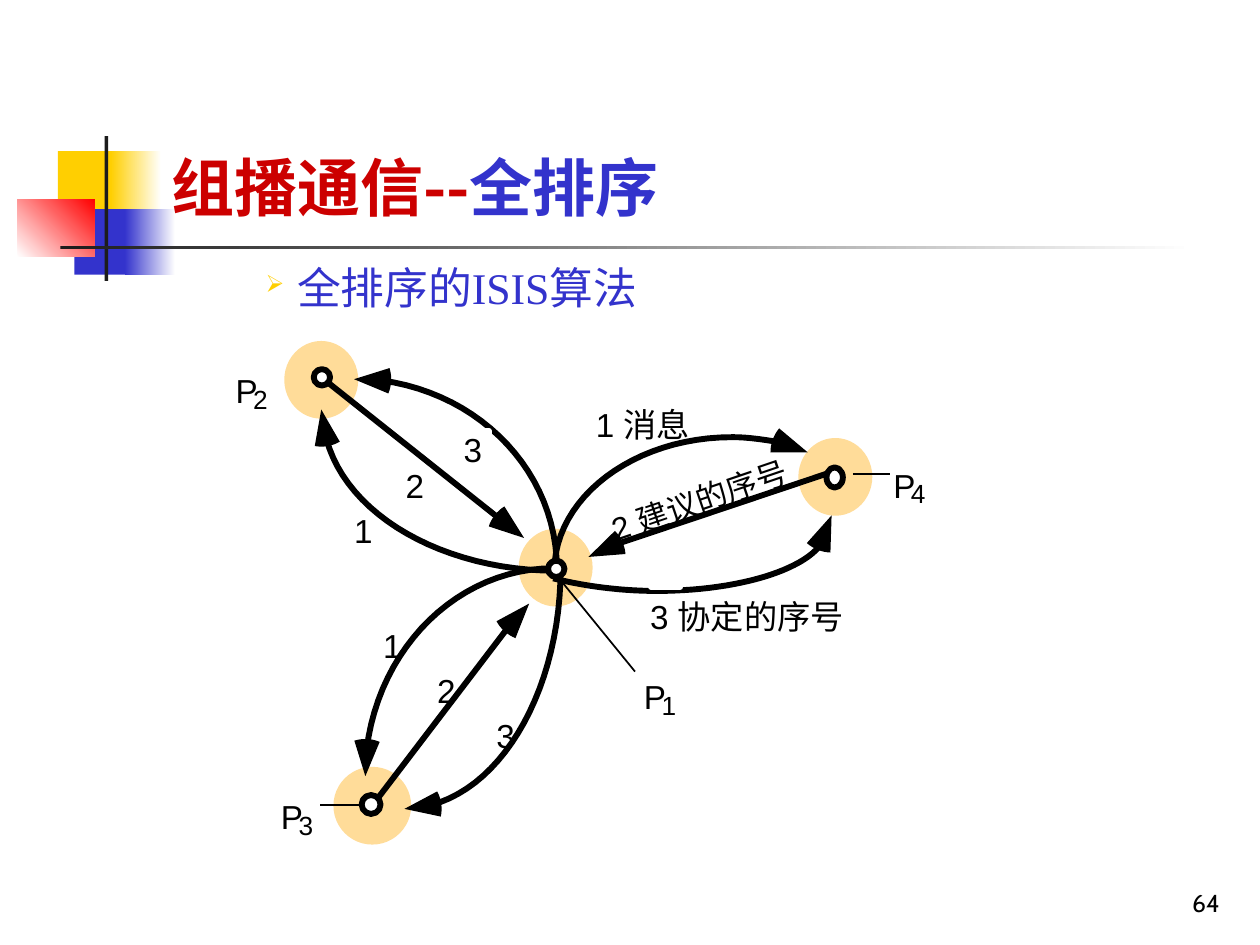
import dataclasses
import math

import pptx
import pptx.dml.color
import pptx.enum.shapes
import pptx.enum.text
import pptx.oxml.ns
import pptx.util
from lxml import etree

COLUMNS, ROWS = 100, 75
KINDS = pptx.enum.shapes.MSO_SHAPE
ANCHORS = pptx.enum.text.MSO_ANCHOR
ALIGNS = pptx.enum.text.PP_ALIGN


@dataclasses.dataclass(frozen=True)
class Theme:
    yellow: str = "FFCF01"
    blue: str = "3333CC"
    red: str = "FF0000"
    title_red: str = "CC0000"
    ink: str = "1C1C1C"
    black: str = "000000"
    white: str = "FFFFFF"
    halo: str = "FFDC99"
    title_size: float = 36
    body_size: float = 25
    label_size: float = 19
    slanted_size: float = 18
    index_size: float = 15
    number_size: float = 14
    heavy: float = 3.37
    thin: float = 1
    cjk: str = "Noto Sans CJK JP"
    serif: str = "Times New Roman"
    sans: str = "Arial"
    number_font: str = "Cabin"


THEME = Theme()


@dataclasses.dataclass(frozen=True)
class Box:
    slide: object
    cell: int
    left: float
    top: float
    width: float
    height: float

    def point(self, x, y):
        return round((self.left + x) * self.cell), round((self.top + y) * self.cell)

    def area(self, x, y, width, height):
        return *self.point(x, y), round(width * self.cell), round(height * self.cell)


def rgb(color):
    return pptx.dml.color.RGBColor.from_string(color)


def tag(name):
    return pptx.oxml.ns.qn(name)


def paint(shape, fill=None, line=None, weight=THEME.heavy):
    shape.shadow.inherit = False
    if fill:
        shape.fill.solid()
        shape.fill.fore_color.rgb = rgb(fill)
    else:
        shape.fill.background()
    if line:
        shape.line.color.rgb = rgb(line)
        shape.line.width = pptx.util.Pt(weight)
    else:
        shape.line.fill.background()


def add_block(box, kind, area, fill, line=None):
    block = box.slide.shapes.add_shape(kind, *box.area(*area))
    paint(block, fill, line)
    return block


def add_fade(box, area, start, end, angle=0):
    fade = add_block(box, KINDS.RECTANGLE, area, start)
    fade.fill.gradient()
    fade.fill.gradient_angle = angle
    for stop, color in zip(fade.fill.gradient_stops, (start, end)):
        stop.color.rgb = rgb(color)


def add_line(box, start, end, weight):
    line = box.slide.shapes.add_connector(
        pptx.enum.shapes.MSO_CONNECTOR.STRAIGHT, *box.point(*start), *box.point(*end))
    line.line.color.rgb = rgb(THEME.black)
    line.line.width = pptx.util.Pt(weight)
    etree.SubElement(line._element.spPr, tag("a:effectLst"))


def add_outline(box, points, close):
    first, *rest = [box.point(*point) for point in points]
    builder = box.slide.shapes.build_freeform(*first, scale=1.0)
    builder.add_line_segments(rest, close=close)
    return builder.convert_to_shape()


def add_text(box, area, runs, wrap=True, inset=True, anchor=ANCHORS.TOP, align=ALIGNS.LEFT):
    text = box.slide.shapes.add_textbox(*box.area(*area))
    frame = text.text_frame
    frame.word_wrap = wrap
    frame.vertical_anchor = anchor
    if not inset:
        frame.margin_left = frame.margin_right = frame.margin_top = frame.margin_bottom = 0
    paragraph = frame.paragraphs[0]
    paragraph.alignment = align
    for words, size, font, color, bold in runs:
        run = paragraph.add_run()
        run.text = words
        run.font.size = pptx.util.Pt(size)
        run.font.name = font
        run.font.bold = bold
        run.font.color.rgb = rgb(color)
        run.font._element.find(tag("a:latin")).addnext(
            run.font._element.makeelement(tag("a:ea"), {"typeface": THEME.cjk}))
    return text


def add_label(box, x, y, words, width=1.5, size=THEME.label_size):
    return add_text(box, (x, y, width, size / 6), [(words, size, THEME.sans, THEME.black, False)],
                    wrap=False, inset=False)


def bezier(start, *controls):
    points = [start]
    for i in range(0, len(controls), 3):
        a, (b, c, d) = points[-1], controls[i:i + 3]
        for step in range(1, 25):
            t = step / 24
            weights = ((1 - t) ** 3, 3 * t * (1 - t) ** 2, 3 * t * t * (1 - t), t ** 3)
            points.append(tuple(sum(w * p[axis] for w, p in zip(weights, (a, b, c, d)))
                                for axis in (0, 1)))
    return points


def add_arrowhead(box, end, tip):
    back = math.atan2(end[1] - tip[1], end[0] - tip[0])
    radius = 2.95
    rim = [(tip[0] + radius * math.cos(back + math.radians(turn)),
            tip[1] + radius * math.sin(back + math.radians(turn))) for turn in range(-20, 21, 5)]
    paint(add_outline(box, [tip, *rim], True), THEME.black)


def add_decoration(box):
    for area, color in (((3.2, 1.2, 4.8, 5.2), THEME.yellow), ((4.5, 5.8, 4.6, 5.2), THEME.blue)):
        add_block(box, KINDS.RECTANGLE, area, color)
        x, y, width, height = area
        add_fade(box, (x + width - 0.6, y, 4, height), color, THEME.white)
    add_fade(box, (0, 5, 6.1, 4.6), THEME.white, THEME.red, 45)
    add_block(box, KINDS.RECTANGLE, (6.9, 0, 0.3, 11.5), THEME.ink)
    add_fade(box, (3.4, 8.7, 90, 0.3), THEME.ink, THEME.white)


def add_title(box):
    add_text(box, (0, 0, box.width, box.height),
             [("组播通信--", THEME.title_size, THEME.cjk, THEME.title_red, True),
              ("全排序", THEME.title_size, THEME.cjk, THEME.blue, True)], anchor=ANCHORS.BOTTOM)


def add_body(box):
    body = add_text(box, (0, 0, box.width, box.height),
                    [("全排序的ISIS算法", THEME.body_size, THEME.serif, THEME.blue, False)])
    paragraph = body.text_frame.paragraphs[0]
    paragraph.space_before = pptx.util.Pt(6.2)
    bullet = paragraph._p.get_or_add_pPr()
    bullet.set("marL", str(pptx.util.Inches(1.75)))
    bullet.set("indent", str(pptx.util.Inches(-0.25)))
    color = etree.SubElement(bullet, tag("a:buClr"))
    etree.SubElement(color, tag("a:srgbClr"), val=THEME.yellow)
    etree.SubElement(bullet, tag("a:buSzPct"), val="55000")
    etree.SubElement(bullet, tag("a:buChar"), char="➢")


def add_diagram(box):
    processes = (
        ("1", (26.1, 18.05), 5.4, (26.15, 18.15), (1.3, 1.3), (33.1, 26.7)),
        ("2", (7.5, 3.15), 5.4, (7.55, 2.95), (1.3, 1.3), (0.7, 2.4)),
        ("3", (11.55, 36.95), 5.7, (11.45, 36.85), (1.5, 1.5), (4.3, 36.2)),
        ("4", (48.3, 10.85), 5.4, (48.25, 10.9), (1.3, 1.6), (52.9, 9.9)),
    )
    curves = (
        ((46.1, 8.9), (26, 18.3), (26, 12.5), (32.3, 7.7), (40.1, 7.7),
         (41.4, 7.7), (42.6, 7.9), (43.9, 8.1)),
        ((48, 13.9), (25.9, 18.9), (28.3, 19.5), (31.2, 19.9), (34.1, 19.9),
         (40, 19.9), (45.2, 18.5), (47, 16.4)),
        ((10.1, 3.1), (26.2, 18.2), (26.2, 10.6), (20.3, 4.3), (12.3, 3.2)),
        ((7.5, 5.5), (26.2, 18.3), (17.2, 18.3), (9.5, 13.9), (7.9, 7.8)),
        ((14.1, 37.2), (26.5, 18.1), (26.5, 27.3), (22.2, 35.3), (16.2, 36.9)),
        ((11, 34.6), (26, 18.1), (18.4, 18.1), (12.1, 24.3), (11.1, 32.5)),
    )
    replies = (((7.7, 3.1), (21.3, 13.9), (23.6, 15.7)),
               ((11.8, 36.6), (22.4, 22.7), (24, 20.9)),
               ((47.6, 10.6), (30.9, 16.2), (28.7, 17.2)))
    leaders = (((26.7, 19.3), (32.4, 26.3)), ((7.4, 36.9), (10.5, 36.9)),
               ((49.7, 10.6), (52.6, 10.6)))
    gaps = ((14.4, 9.8, 1.6, 2.6), (19.8, 7.2, 1, 1.5),
            (33.7, 16.5, 3.3, 2.8), (33.7, 18.6, 2.3, 1))
    steps = ((10.1, 13.5, "1"), (12.4, 22.6, "1"), (14.2, 9.9, "2"), (16.7, 26.2, "2"),
             (18.8, 7.1, "3"), (21.4, 29.8, "3"),
             (29.3, 5.1, "1 消息", 8.1), (33.6, 20.3, "3 协定的序号", 16))

    for _, (x, y), width, *_ in processes:
        add_block(box, KINDS.OVAL, (x - width / 2, y - 2.85, width, 5.7), THEME.halo, THEME.halo)
    for tip, *controls in curves:
        paint(add_outline(box, bezier(*controls), False), line=THEME.black)
        add_arrowhead(box, controls[-1], tip)
    for gap in gaps:
        add_block(box, KINDS.RECTANGLE, gap, THEME.white, THEME.white)
    for start, end, tip in replies:
        add_line(box, start, end, THEME.heavy)
        add_arrowhead(box, end, tip)
    for start, end in leaders:
        add_line(box, start, end, THEME.thin)
    for index, _, _, (x, y), (width, height), (label_x, label_y) in processes:
        add_block(box, KINDS.OVAL, (x - width / 2, y - height / 2, width, height),
                  THEME.white, THEME.black)
        add_label(box, label_x, label_y, "P", 1.8)
        add_label(box, label_x + 1.4, label_y + 1, index, 1.2, THEME.index_size)
    for step in steps:
        add_label(box, *step)
    add_label(box, 30.2, 11.1, "2 建议的序号", 15.2, THEME.slanted_size).rotation = 341.2


def add_page_number(box):
    add_text(box, (0, 0, box.width, box.height),
             [("64", THEME.number_size, THEME.number_font, THEME.black, False)],
             anchor=ANCHORS.BOTTOM, align=ALIGNS.RIGHT)


def main():
    deck = pptx.Presentation()
    deck.slide_width, deck.slide_height = pptx.util.Inches(10), pptx.util.Inches(7.5)
    cell = deck.slide_width // COLUMNS
    slide = deck.slides.add_slide(deck.slide_layouts[6])
    add_decoration(Box(slide, cell, 1.4, 10.8, 93.4, 11.5))
    add_title(Box(slide, cell, 12.6, 2.3, 85.2, 16))
    add_body(Box(slide, cell, 5.1, 20.2, 92.1, 52))
    add_diagram(Box(slide, cell, 18, 27, 56, 40))
    add_page_number(Box(slide, cell, 77, ROWS - 6.7, 20.8, 5))
    deck.save("out.pptx")


if __name__ == "__main__":
    main()
